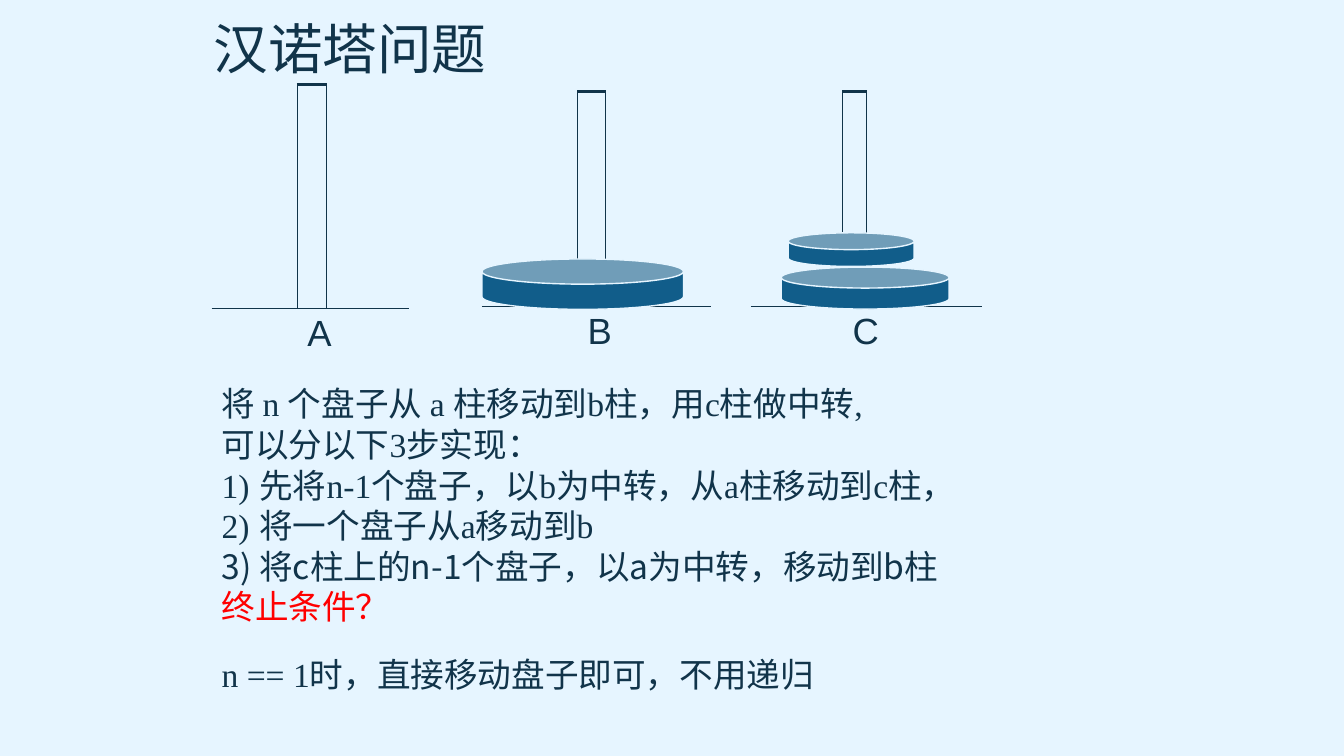
from dataclasses import dataclass

from lxml import etree
from pptx import Presentation
from pptx.dml.color import RGBColor
from pptx.enum import shapes, text
from pptx.oxml import ns
from pptx.util import Pt


@dataclass(frozen=True)
class Theme:
    background: str = "E6F5FF"
    ink: str = "11344A"
    disk: str = "115D8A"
    alert: str = "FF0000"
    title_size: float = 39
    label_size: float = 26
    body_size: float = 24
    sans: str = "Arial"
    serif: str = "Times New Roman"
    cjk: str = "Noto Sans CJK SC"
    hairline: float = 1
    pole_cap: float = 2.25
    hanging: float = 27


THEME = Theme()
POLE_ROWS = 4

# Left, top, column widths, pole height, label height
PEGS = {
    "A": (151.2, 60.5, (61.2, 21, 59), 160, 39),
    "B": (344.2, 65.5, (68.4, 19.8, 75.6), 153.6, 38.4),
    "C": (536.4, 65.5, (65.5, 16.8, 82), 153.6, 54),
}

# Left, top, width, height
DISKS = [
    (344.2, 185, 144, 36),
    (558, 190.8, 120, 30),
    (563, 166.3, 90, 24),
]

# Wording, font, colour, automatic number (if any)
STEPS = [
    ("将 n 个盘子从 a 柱移动到b柱，用c柱做中转,", THEME.serif, THEME.ink, None),
    ("可以分以下3步实现：", THEME.serif, THEME.ink, None),
    ("1)\t先将n-1个盘子，以b为中转，从a柱移动到c柱，", THEME.serif, THEME.ink, None),
    ("2)\t将一个盘子从a移动到b", THEME.serif, THEME.ink, None),
    ("将c柱上的n-1个盘子，以a为中转，移动到b柱", THEME.cjk, THEME.ink, 3),
    ("终止条件？", THEME.cjk, THEME.alert, None),
]
BASE_CASE = [("n == 1时，直接移动盘子即可，不用递归", THEME.serif, THEME.ink, None)]


def style_runs(paragraph, size, font, colour):
    for run in paragraph.runs:
        run.font.size = Pt(size)
        run.font.name = font
        run.font.color.rgb = RGBColor.from_string(colour)


def add_text_frame(slide, left, top, width, height):
    box = slide.shapes.add_textbox(Pt(left), Pt(top), Pt(width), Pt(height))
    box.text_frame.word_wrap = True
    return box.text_frame


def add_title(slide, wording):
    frame = add_text_frame(slide, 145.4, 49, 594, 102.2)
    frame.vertical_anchor = text.MSO_ANCHOR.BOTTOM
    frame.margin_bottom = Pt(94)  # lifts the title above the pegs
    title = frame.paragraphs[0]
    title.text = wording
    title.line_spacing = Pt(47)
    style_runs(title, THEME.title_size, THEME.sans, THEME.ink)


def add_steps(slide, top, height, steps):
    frame = add_text_frame(slide, 151.2, top, 607, height)
    frame.auto_size = text.MSO_AUTO_SIZE.SHAPE_TO_FIT_TEXT
    for index, (wording, font, colour, number) in enumerate(steps):
        step = frame.add_paragraph() if index else frame.paragraphs[0]
        step.text = wording
        step.line_spacing = Pt(29)
        style_runs(step, THEME.body_size, font, colour)
        properties = step._p.get_or_add_pPr()
        properties.set("marL", str(Pt(THEME.hanging)))
        properties.set("indent", str(-Pt(THEME.hanging)))
        if number:
            etree.SubElement(properties, ns.qn("a:buAutoNum"),
                             type="arabicParenR", startAt=str(number))


def set_borders(cell, widths):
    """Draw the sides named in widths (L, R, T, B) and clear the others."""
    properties = cell._tc.get_or_add_tcPr()
    for position, side in enumerate("LRTB"):
        border = etree.Element(ns.qn(f"a:ln{side}"))
        if side in widths:
            border.set("w", str(Pt(widths[side])))
            fill = etree.SubElement(border, ns.qn("a:solidFill"))
            etree.SubElement(fill, ns.qn("a:srgbClr"), val=THEME.ink)
        else:
            etree.SubElement(border, ns.qn("a:noFill"))
        properties.insert(position, border)


def peg_borders(row, column):
    if row == POLE_ROWS:
        return {"T": THEME.hairline}
    sides = ("R", "LR", "L")[column]
    merged_top = row == 0 and column != 1
    if row == POLE_ROWS - 1 or merged_top:
        sides += "B"
    widths = dict.fromkeys(sides, THEME.hairline)
    if row == 0 and column == 1:
        widths["T"] = THEME.pole_cap
    return widths


def add_peg(slide, name, left, top, widths, pole_height, label_height):
    peg = slide.shapes.add_table(POLE_ROWS + 1, len(widths), Pt(left), Pt(top),
                                 Pt(sum(widths)), Pt(pole_height + label_height)).table
    peg.first_row = peg.horz_banding = False
    for column, width in enumerate(widths):
        peg.columns[column].width = Pt(width)
    for row in range(POLE_ROWS + 1):
        peg.rows[row].height = Pt(label_height if row == POLE_ROWS
                                  else pole_height / POLE_ROWS)
        for column in range(len(widths)):
            cell = peg.cell(row, column)
            cell.fill.background()
            set_borders(cell, peg_borders(row, column))
    for column in (0, 2):
        peg.cell(0, column).merge(peg.cell(POLE_ROWS - 1, column))
    label = peg.cell(POLE_ROWS, 1).text_frame.paragraphs[0]
    label.text = name
    style_runs(label, THEME.label_size, THEME.sans, THEME.ink)


def add_disk(slide, left, top, width, height):
    disk = slide.shapes.add_shape(shapes.MSO_SHAPE.CAN, Pt(left), Pt(top),
                                  Pt(width), Pt(height))
    disk.adjustments[0] = 0.5
    disk.shadow.inherit = False
    disk.fill.solid()
    disk.fill.fore_color.rgb = RGBColor.from_string(THEME.disk)
    disk.line.color.rgb = RGBColor.from_string(THEME.background)
    disk.line.width = Pt(THEME.hairline)


def main():
    deck = Presentation()
    deck.slide_width, deck.slide_height = Pt(960), Pt(540)
    slide = deck.slides.add_slide(deck.slide_layouts[6])
    slide.background.fill.solid()
    slide.background.fill.fore_color.rgb = RGBColor.from_string(THEME.background)

    # Title and steps
    add_title(slide, "汉诺塔问题")
    add_steps(slide, 270, 181.4, STEPS)

    # Pegs with their disks
    for name, layout in PEGS.items():
        add_peg(slide, name, *layout)
    for disk in DISKS:
        add_disk(slide, *disk)

    # Base case of the recursion
    add_steps(slide, 463, 36, BASE_CASE)

    deck.save("out.pptx")


if __name__ == "__main__":
    main()
